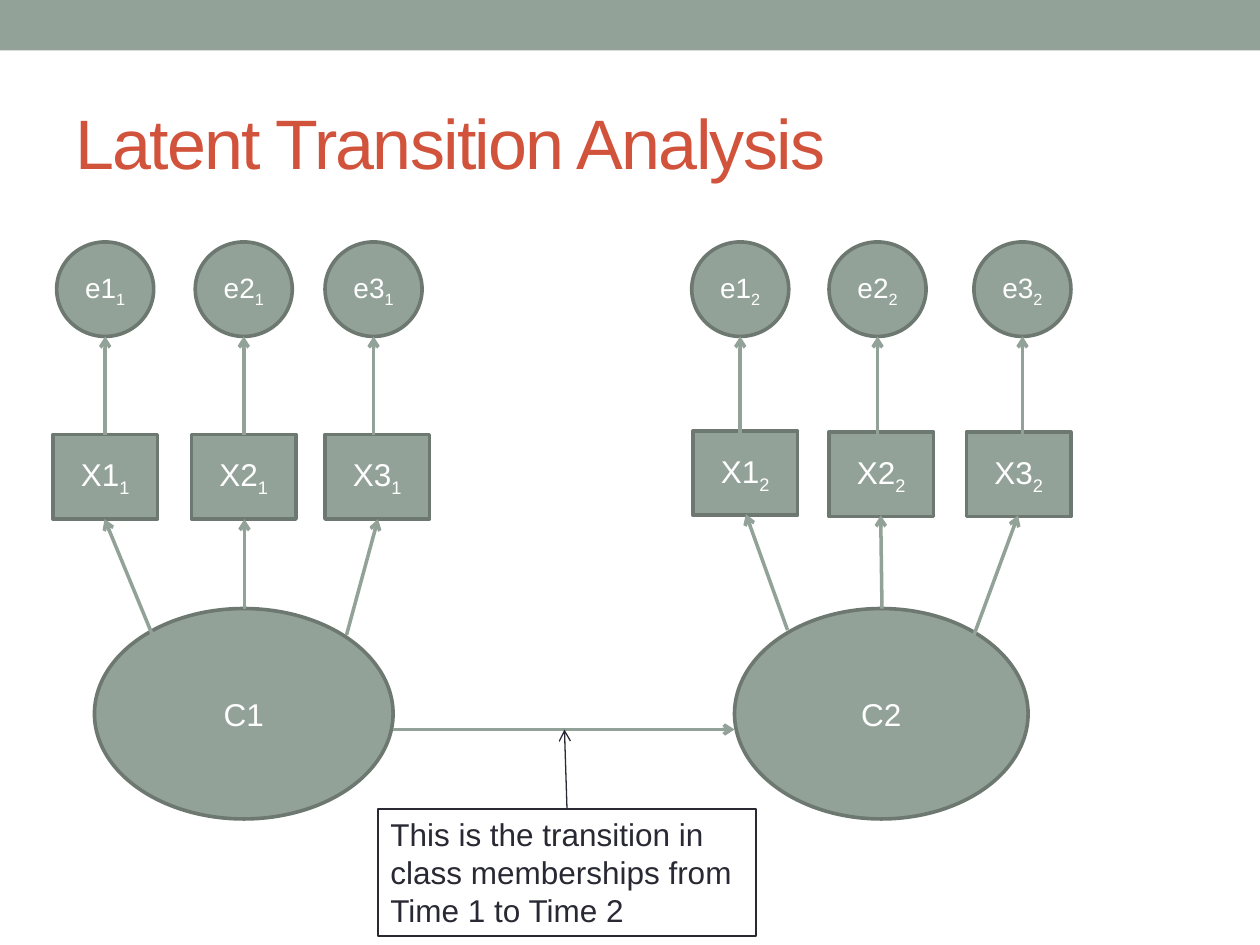
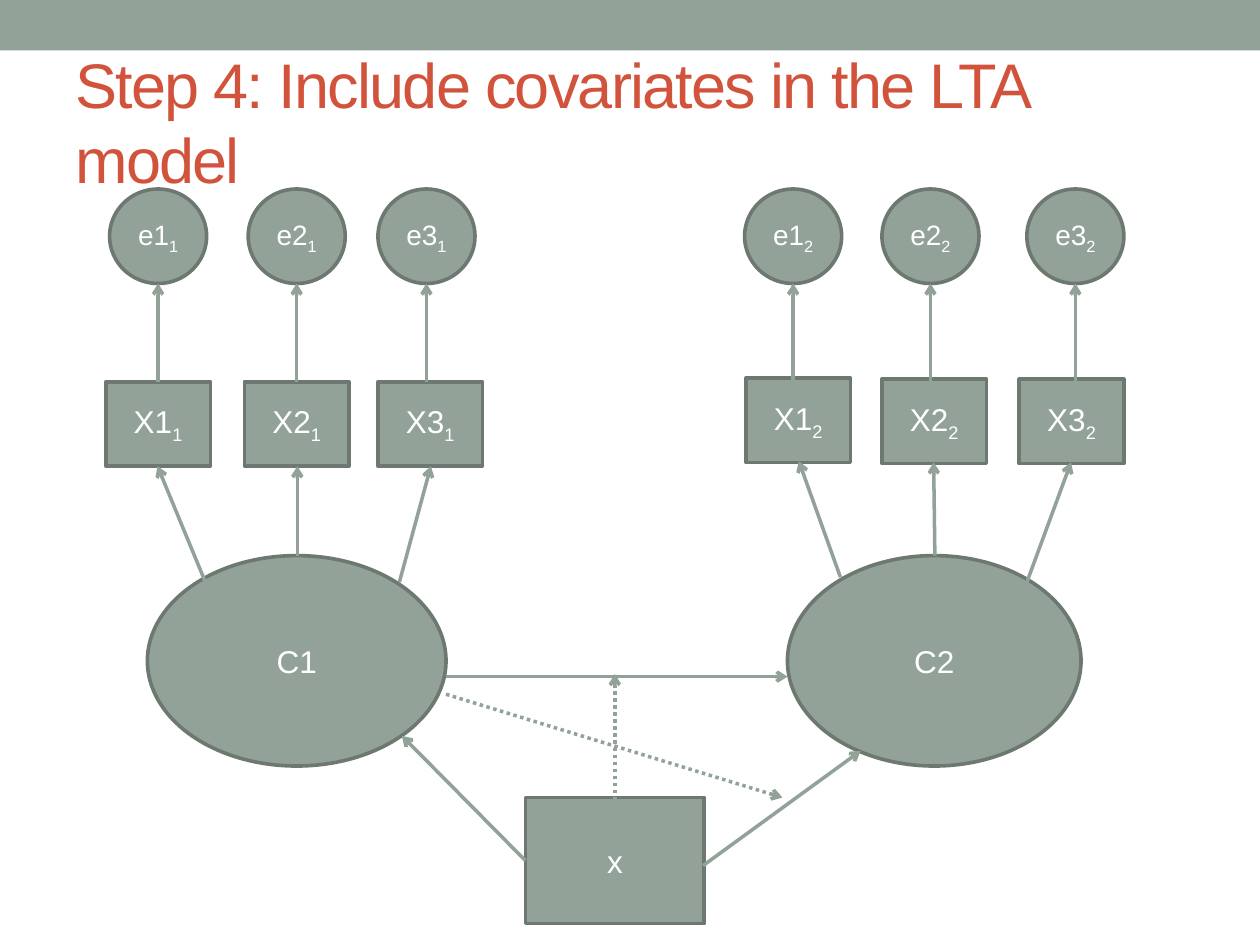
"""Build two slides that show a latent transition model, without and with a covariate."""
from dataclasses import dataclass

import pptx
import pptx.dml.color
import pptx.enum.dml
import pptx.enum.shapes
import pptx.enum.text
import pptx.oxml
import pptx.util
from pptx.dml.color import RGBColor
from pptx.util import Inches

SAGE = RGBColor(0x93, 0xA2, 0x99)
DARK_SAGE = RGBColor(0x6D, 0x78, 0x71)
RUST = RGBColor(0xD2, 0x53, 0x3C)
INK = RGBColor(0x29, 0x29, 0x34)
WHITE = RGBColor(0xFF, 0xFF, 0xFF)
FONT = "Arial"
RECTANGLE = pptx.enum.shapes.MSO_SHAPE.RECTANGLE
OVAL = pptx.enum.shapes.MSO_SHAPE.OVAL
MIDDLE = pptx.enum.text.MSO_ANCHOR.MIDDLE
DOTTED = pptx.enum.dml.MSO_LINE.ROUND_DOT

ERROR_TOP, ERROR_WIDTH, ERROR_HEIGHT = 1.92, 0.77, 0.75
ITEM_WIDTH, ITEM_HEIGHT, ITEM_ARROW_TOP = 0.83, 0.67, 3.45
CLASS_TOP, CLASS_HEIGHT = 4.83, 1.67


@dataclass
class TimePoint:
    """Places of one latent class variable, its items, errors and loadings."""

    number: int
    class_left: float
    class_width: float
    error_lefts: tuple
    item_places: tuple
    loadings: tuple


TIME_POINTS = (
    TimePoint(1, 0.75, 2.37, (0.45, 1.55, 2.58),
              ((0.42, 3.45), (1.52, 3.45), (2.58, 3.45)),
              (((1.21, 5.04), (0.83, 4.12)),
               ((1.94, 4.83), (1.94, 4.12)),
               ((2.75, 5.04), (3, 4.12)))),
    TimePoint(2, 5.83, 2.33, (5.49, 6.58, 7.73),
              ((5.5, 3.42), (6.58, 3.43), (7.67, 3.43)),
              (((6.25, 5), (5.92, 4.08)),
               ((7, 4.83), (6.99, 4.09)),
               ((7.73, 5.04), (8.08, 4.09)))),
)


def add_span(para, text, size, color):
    """Add one run to a paragraph and return it."""
    span = para.add_run()
    span.text = text
    span.font.name = FONT
    span.font.size = pptx.util.Pt(size)
    span.font.color.rgb = color
    return span


def add_title(page, text, top, size):
    """Add the slide title with tightened letter spacing."""
    box = page.shapes.add_textbox(Inches(0.5), Inches(top), Inches(9), Inches(1.08))
    box.text_frame.word_wrap = True
    box.text_frame.vertical_anchor = MIDDLE
    span = add_span(box.text_frame.paragraphs[0], text, size, RUST)
    span.font._element.set("spc", "-100")


def add_page(deck, title, title_top, title_size):
    """Add a blank page with the top band and a title."""
    page = deck.slides.add_slide(deck.slide_layouts[6])
    band = page.shapes.add_shape(RECTANGLE, 0, 0, deck.slide_width, Inches(0.4))
    band.shadow.inherit = False
    band.fill.solid()
    band.fill.fore_color.rgb = SAGE
    band.line.fill.background()
    add_title(page, title, title_top, title_size)
    return page


def add_node(page, kind, place, size, label, subscript="", font_size=18):
    """Add a filled model node with a centred label and optional subscript."""
    node = page.shapes.add_shape(kind, *map(Inches, place + size))
    node.shadow.inherit = False
    node.fill.solid()
    node.fill.fore_color.rgb = SAGE
    node.line.color.rgb = DARK_SAGE
    node.line.width = pptx.util.Pt(2.08)
    frame = node.text_frame
    frame.word_wrap = False
    frame.vertical_anchor = MIDDLE
    para = frame.paragraphs[0]
    para.alignment = pptx.enum.text.PP_ALIGN.CENTER
    add_span(para, label, font_size, WHITE)
    if subscript:
        span = add_span(para, subscript, font_size, WHITE)
        span.font._element.set("baseline", "-25000")


def add_arrow(page, start, end, color=SAGE, width=2, dash=None):
    """Add a straight line with an open arrowhead at its end."""
    arrow = page.shapes.add_connector(
        pptx.enum.shapes.MSO_CONNECTOR.STRAIGHT, *map(Inches, start + end))
    arrow.line.color.rgb = color
    arrow.line.width = pptx.util.Pt(width)
    if dash:
        arrow.line.dash_style = dash
    outline = arrow.line._get_or_add_ln()
    outline.append(outline.makeelement(pptx.oxml.ns.qn("a:tailEnd"), {"type": "arrow"}))
    properties = arrow._element.spPr
    properties.append(properties.makeelement(pptx.oxml.ns.qn("a:effectLst"), {}))


def add_time_point(page, time, shift):
    """Draw one class variable with its items, errors and arrows."""
    def moved(place):
        return place[0] + shift[0], place[1] + shift[1]

    add_node(page, OVAL, moved((time.class_left, CLASS_TOP)),
             (time.class_width, CLASS_HEIGHT), f"C{time.number}")
    columns = zip(time.error_lefts, time.item_places, time.loadings)
    for index, (error_left, item_place, loading) in enumerate(columns, 1):
        add_node(page, RECTANGLE, moved(item_place), (ITEM_WIDTH, ITEM_HEIGHT),
                 f"X{index}", str(time.number))
        add_node(page, OVAL, moved((error_left, ERROR_TOP)),
                 (ERROR_WIDTH, ERROR_HEIGHT), f"e{index}", str(time.number), 16)
        middle = error_left + ERROR_WIDTH / 2
        add_arrow(page, moved((middle, ITEM_ARROW_TOP)),
                  moved((middle, ERROR_TOP + ERROR_HEIGHT)))
        add_arrow(page, *map(moved, loading))


def add_model(page, shift=(0, 0)):
    """Draw both time points and the transition between them."""
    for time in TIME_POINTS:
        add_time_point(page, time, shift)
    across, down = shift
    add_arrow(page, (3.12 + across, 5.79 + down), (5.83 + across, 5.79 + down))


def add_note(page, text):
    """Add the outlined note with its pointer to the transition arrow."""
    note = page.shapes.add_textbox(Inches(3), Inches(6.42), Inches(3), Inches(1.01))
    note.line.color.rgb = INK
    note.line.width = pptx.util.Pt(0.75)
    note.text_frame.word_wrap = True
    note.text_frame.auto_size = pptx.enum.text.MSO_AUTO_SIZE.SHAPE_TO_FIT_TEXT
    add_span(note.text_frame.paragraphs[0], text, 18, INK)
    add_arrow(page, (4.5, 6.42), (4.48, 5.79), INK, 0.75)


def add_covariate(page):
    """Add the covariate box and its direct and interaction effects."""
    add_node(page, RECTANGLE, (4.17, 6.33), (1.42, 1), "x")
    add_arrow(page, (5.58, 6.87), (6.83, 5.96))
    add_arrow(page, (4.17, 6.83), (3.19, 5.84))
    add_arrow(page, (4.88, 6.52), (4.88, 5.35), dash=DOTTED)
    add_arrow(page, (3.54, 5.51), (6.21, 6.33), dash=DOTTED)


def main():
    """Build and save the deck."""
    deck = pptx.Presentation()
    deck.slide_width = Inches(10)
    deck.slide_height = Inches(7.5)

    page = add_page(deck, "Latent Transition Analysis", 0.58, 40)
    add_model(page)
    add_note(page, "This is the transition in class memberships from Time 1 to Time 2")

    page = add_page(deck, "Step 4: Include covariates in the LTA model", 0.42, 36)
    add_model(page, shift=(0.42, -0.42))
    add_covariate(page)

    deck.save("out.pptx")


main()
